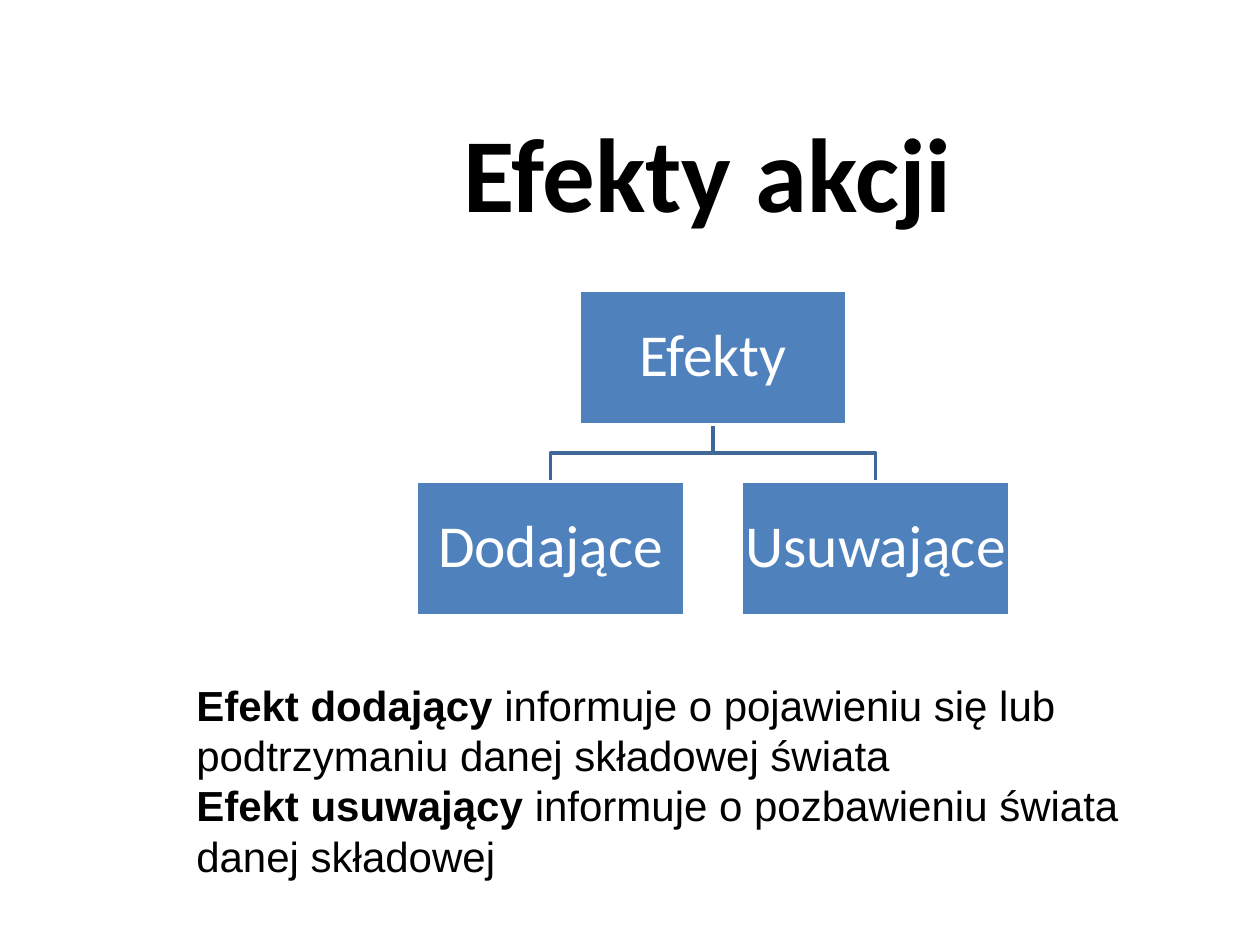
from pptx import Presentation
from pptx.dml.color import RGBColor
from pptx.enum.shapes import MSO_SHAPE as Shape
from pptx.enum.text import MSO_ANCHOR as Anchor, PP_ALIGN as Align
from pptx.util import Inches, Pt

COLOURS = {"ink": "000000", "box": "4F81BD", "branch": "3F6797", "white": "FFFFFF"}

deck = Presentation()
deck.slide_width, deck.slide_height = Inches(10), Inches(7.5)
slide = deck.slides.add_slide(deck.slide_layouts[6])
COL, ROW = deck.slide_width / 100, deck.slide_height / 75


def cells(left, top, width, height):
    """Turn grid columns and rows into slide lengths."""
    return round(left * COL), round(top * ROW), round(width * COL), round(height * ROW)


def write(shape, paragraphs, size, font="Calibri", colour="ink", align=Align.CENTER,
          anchor=Anchor.MIDDLE, margins=(0.1, 0.05, 0.1, 0.05), spacing=None, before=None):
    """Fill a shape with paragraphs, each a list of (words, bold) runs."""
    frame = shape.text_frame
    frame.word_wrap = True
    frame.vertical_anchor = anchor
    (frame.margin_left, frame.margin_top,
     frame.margin_right, frame.margin_bottom) = map(Inches, margins)
    for index, runs in enumerate(paragraphs):
        paragraph = frame.add_paragraph() if index else frame.paragraphs[0]
        paragraph.alignment = align
        paragraph.line_spacing = spacing
        paragraph.space_before = before
        for words, bold in runs:
            run = paragraph.add_run()
            run.text = words
            run.font.name, run.font.size, run.font.bold = font, Pt(size), bold
            run.font.color.rgb = RGBColor.from_string(COLOURS[colour])


title = slide.shapes.add_textbox(*cells(14.6, 1.3, 84.1, 24.4))
write(title, [[("Efekty akcji", True)]], 60, margins=(0, 0.05, 0.1, 0.05), before=Pt(12))

# Effect tree: one parent centred above two children
BOX_WIDTH, BOX_HEIGHT = 21.3, 10.7
PARENT_TOP, CHILD_TOP = 23, 38.2
CENTRE, CHILD_OFFSET = 56.6, 12.9
parent_bottom = PARENT_TOP + BOX_HEIGHT
bend = (parent_bottom + CHILD_TOP) / 2
child_centres = [CENTRE + CHILD_OFFSET, CENTRE - CHILD_OFFSET]

for centre in child_centres:
    start, *bends = [(round(x * COL), round(y * ROW)) for x, y in (
        (CENTRE, parent_bottom), (CENTRE, bend), (centre, bend), (centre, CHILD_TOP))]
    builder = slide.shapes.build_freeform(*start)
    builder.add_line_segments(bends, close=False)
    branch = builder.convert_to_shape()
    branch.shadow.inherit = False
    branch.fill.background()
    branch.line.color.rgb = RGBColor.from_string(COLOURS["branch"])
    branch.line.width = Pt(2)

for label, centre, top in (("Efekty", CENTRE, PARENT_TOP),
                           ("Dodające", child_centres[1], CHILD_TOP),
                           ("Usuwające", child_centres[0], CHILD_TOP)):
    box = slide.shapes.add_shape(
        Shape.RECTANGLE, *cells(centre - BOX_WIDTH / 2, top, BOX_WIDTH, BOX_HEIGHT))
    box.shadow.inherit = False
    box.fill.solid()
    box.fill.fore_color.rgb = RGBColor.from_string(COLOURS["box"])
    box.line.color.rgb = RGBColor.from_string(COLOURS["white"])
    box.line.width = Pt(2)
    write(box, [[(label, False)]], 34, colour="white", margins=(0.02,) * 4, spacing=0.9)

definitions = slide.shapes.add_textbox(*cells(14.6, 53.4, 82.7, 17.2))
write(definitions, [
    [("Efekt dodający ", True),
     ("informuje o pojawieniu się lub podtrzymaniu danej składowej świata", False)],
    [("Efekt usuwający ", True),
     ("informuje o pozbawieniu świata danej składowej", False)],
], 24, font="Arial", align=Align.LEFT, anchor=Anchor.TOP)

deck.save("out.pptx")
